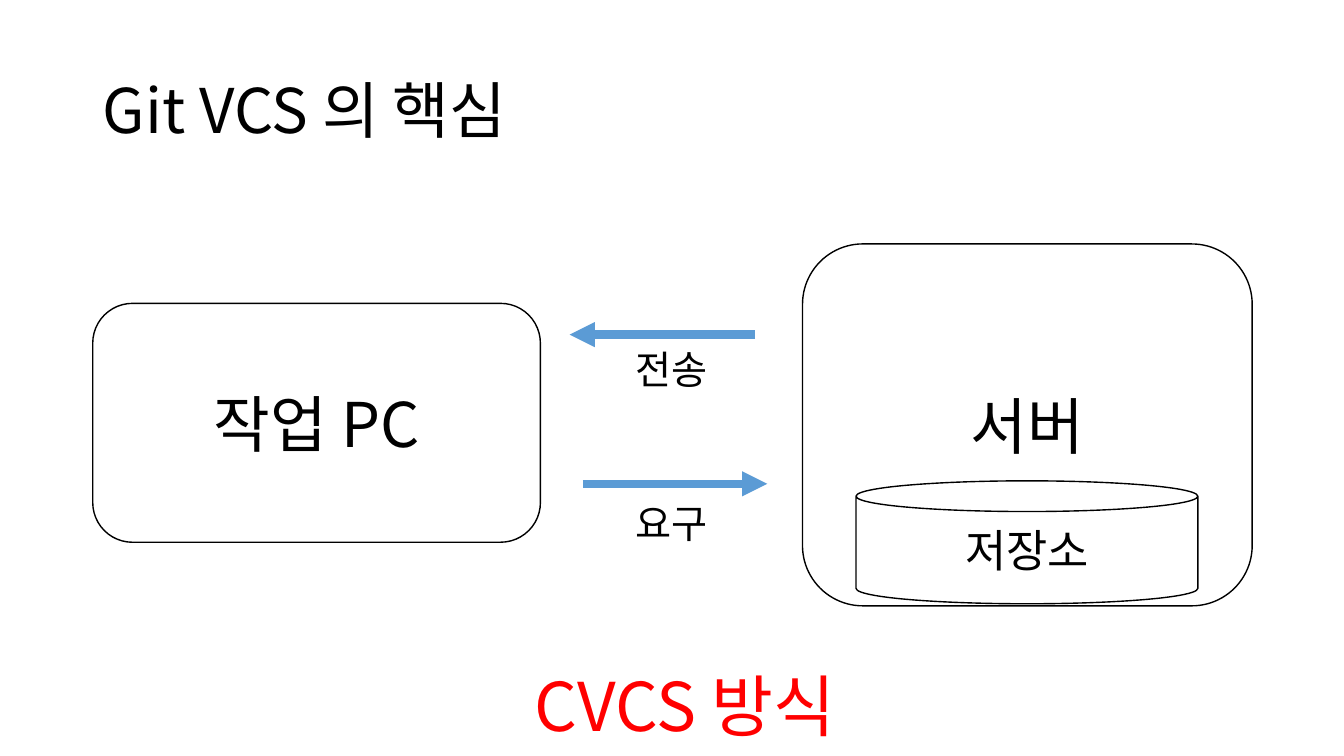
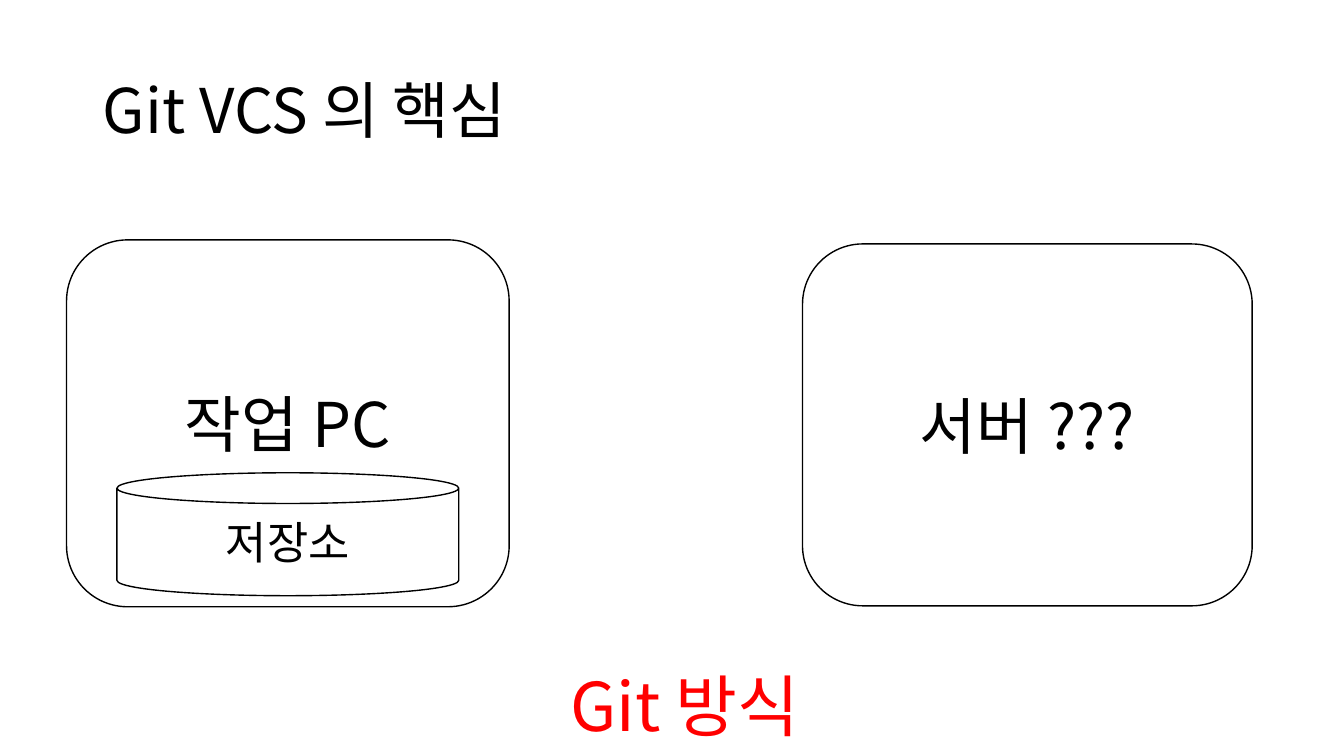
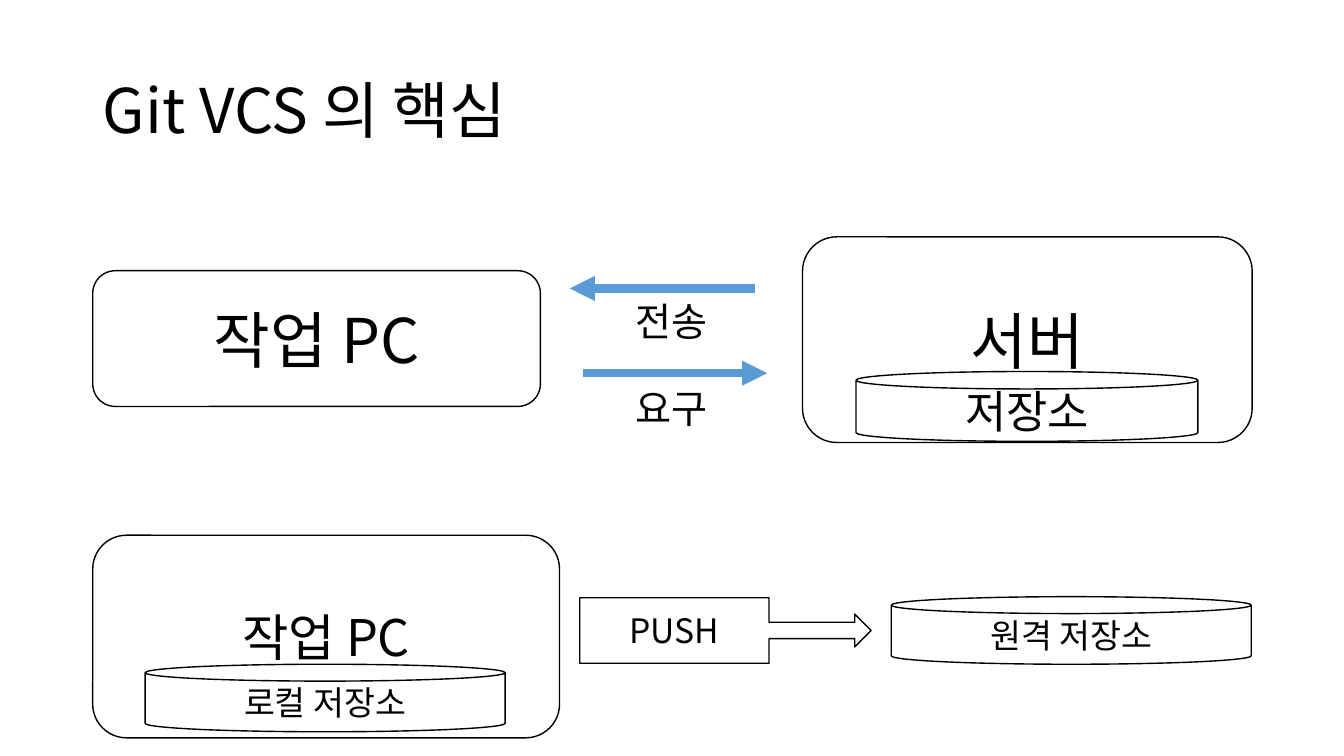
from pptx import Presentation
from pptx.dml.color import RGBColor
from pptx.enum.shapes import MSO_CONNECTOR, MSO_SHAPE
from pptx.enum.text import MSO_ANCHOR, MSO_AUTO_SIZE, PP_ALIGN
from pptx.oxml.ns import qn
from pptx.util import Inches, Pt
from lxml.etree import SubElement

FONT = "Noto Sans CJK KR"
BLACK, WHITE, RED, BLUE = "000000", "FFFFFF", "FF0000", "5B9BD5"
BOX, CAN = MSO_SHAPE.ROUNDED_RECTANGLE, MSO_SHAPE.CAN


def color(code):
    return RGBColor.from_string(code)


def apply(item, values):
    for name, value in values.items():
        setattr(item, name, value)


def write(shape, text, size, tint=BLACK, align=PP_ALIGN.CENTER,
          anchor=MSO_ANCHOR.MIDDLE):
    frame = shape.text_frame
    apply(frame, {"word_wrap": True, "vertical_anchor": anchor})
    line = frame.paragraphs[0]
    line.alignment = align
    run = line.add_run()
    run.text = text
    apply(run.font, {"name": FONT, "size": Pt(size)})
    run.font.color.rgb = color(tint)
    SubElement(run.font._element, qn("a:ea"), typeface=FONT)
    return line


def start(deck):
    slide = deck.slides.add_slide(deck.slide_layouts[5])
    title = slide.shapes.title
    apply(title, {"left": Inches(0.92), "top": Inches(0.4),
                  "width": Inches(11.5), "height": Inches(1.45)})
    line = write(title, "Git VCS 의 핵심", 44, align=PP_ALIGN.LEFT)
    line.line_spacing = 0.9
    return slide


def block(slide, kind, area, text, size):
    shape = slide.shapes.add_shape(kind, *map(Inches, area))
    shape.shadow.inherit = False
    shape.fill.solid()
    shape.fill.fore_color.rgb = color(WHITE)
    shape.line.color.rgb = color(BLACK)
    shape.line.width = Pt(1)
    write(shape, text, size)


def label(slide, area, text, size, tint=BLACK):
    box = slide.shapes.add_textbox(*map(Inches, area))
    write(box, text, size, tint, anchor=MSO_ANCHOR.TOP)
    box.text_frame.auto_size = MSO_AUTO_SIZE.SHAPE_TO_FIT_TEXT


def arrow(slide, start_x, end_x, y):
    link = slide.shapes.add_connector(
        MSO_CONNECTOR.STRAIGHT, *map(Inches, (start_x, y, end_x, y)))
    link.line.color.rgb = color(BLUE)
    link.line.width = Pt(6)
    SubElement(link.line._get_or_add_ln(), qn("a:tailEnd"), type="triangle")
    SubElement(link._element.spPr, qn("a:effectLst"))


def caption(slide, text):
    label(slide, (2.01, 6.54, 9.57, 0.91), text, 48, RED)


def central(slide, top, height):
    scale = height / 3.59

    def down(offset):
        return top + offset * scale

    for kind, left, offset, width, tall, text, size in (
        (BOX, 7.96, 0, 4.46, 3.59, "서버", 44),
        (BOX, 0.92, 0.59, 4.44, 2.37, "작업 PC", 44),
        (CAN, 8.49, 2.35, 3.39, 1.22, "저장소", 32),
    ):
        area = (left, down(offset), width, tall * scale)
        block(slide, kind, area, text, size)
    for first, last, offset, drop, text in (
        (5.78, 7.61, 2.38, 2.48, "요구"),
        (7.49, 5.65, 0.9, 0.96, "전송"),
    ):
        arrow(slide, first, last, down(offset))
        label(slide, (5.97, down(drop), 1.39, 0.57 * scale), text, 28)


def main():
    deck = Presentation()
    apply(deck, {"slide_width": Inches(13.33), "slide_height": Inches(7.5)})

    slide = start(deck)
    central(slide, 2.42, 3.59)
    caption(slide, "CVCS 방식")

    slide = start(deck)
    block(slide, BOX, (7.96, 2.42, 4.46, 3.59), "서버 ???", 44)
    block(slide, BOX, (0.66, 2.38, 4.39, 3.64), "작업 PC", 44)
    block(slide, CAN, (1.16, 4.69, 3.39, 1.22), "저장소", 32)
    caption(slide, "Git 방식")

    slide = start(deck)
    block(slide, BOX, (0.92, 5.31, 4.63, 2.01), "작업 PC", 36)
    block(slide, CAN, (1.44, 6.59, 3.57, 0.67), "로컬 저장소", 24)
    block(slide, CAN, (8.84, 5.92, 3.57, 0.67), "원격 저장소", 24)
    block(slide, MSO_SHAPE.RIGHT_ARROW_CALLOUT,
          (5.75, 5.93, 2.89, 0.65), "PUSH", 24)
    central(slide, 2.35, 2.04)

    deck.save("out.pptx")


main()
